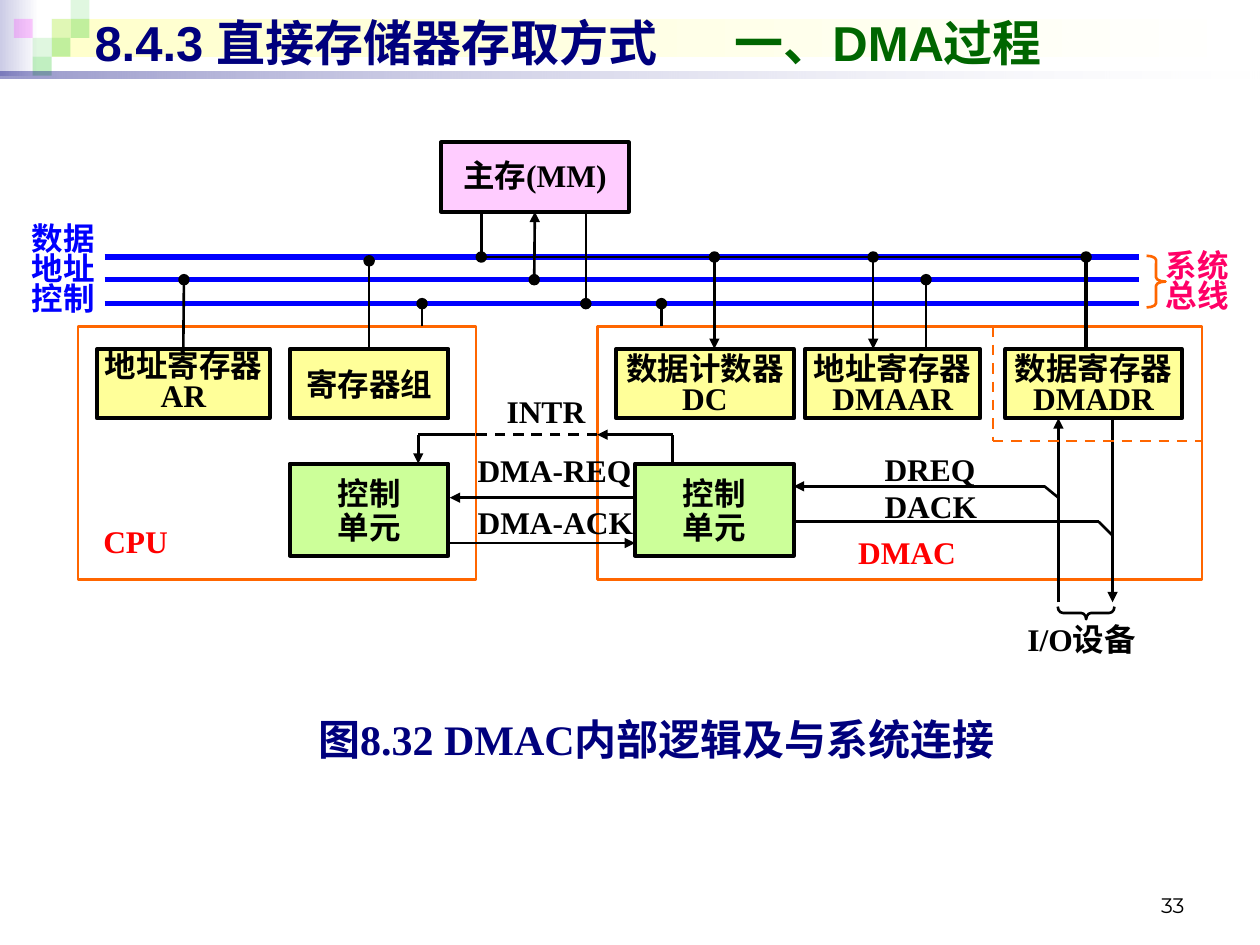
from lxml.etree import SubElement
from pptx import Presentation
from pptx.dml.color import RGBColor
from pptx.enum.dml import MSO_LINE
from pptx.enum.shapes import MSO_CONNECTOR, MSO_SHAPE as SHAPE
from pptx.enum.text import MSO_ANCHOR as ANCHOR, PP_ALIGN as ALIGN
from pptx.oxml.ns import qn
from pptx.util import Inches, Pt

COLORS = {
    "black": "000000", "white": "FFFFFF", "navy": "00007D", "title_green": "006600",
    "blue": "0000FF", "red": "FF0000", "pink": "FF0066", "orange": "FF6600",
    "yellow": "FFFF99", "lime": "CCFF99", "rose": "FFCCFF", "lilac": "CCCCE6",
    "cream": "FFFFCC", "green": "33CC33", "magenta": "FF00FF",
}
CELL = Inches(0.1)
COLS, ROWS = 100, 75
DATA, ADDR, CTRL = 20.4, 22.2, 24.1
REG_TOP, REG_H = 27.7, 5.5
REG_BOTTOM = REG_TOP + REG_H
FRAME_TOP, FRAME_H = 25.9, 20.1
UNIT_TOP, UNIT_W, UNIT_H = 36.8, 12.6, 7.3
INTR_ROW = 34.5
SERIF = "Times New Roman"


def rgb(name):
    """Return the named palette colour."""
    return RGBColor.from_string(COLORS[name])


def cells(*values):
    """Convert grid cells to slide lengths."""
    return [round(v * CELL) for v in values]


def set_alpha(color_el, percent):
    """Make a colour element partly transparent."""
    SubElement(color_el, qn("a:alpha"), val=str(percent * 1000))


def write(sp, *lines, size=18, font=SERIF, color="black", bold=True, align=ALIGN.CENTER,
          anchor=ANCHOR.MIDDLE, spacing=None, insets=(0, 0, 0, 0), tab=None):
    """Fill a shape with formatted lines, each a string or (text, colour) pairs."""
    tf = sp.text_frame
    tf.word_wrap, tf.vertical_anchor = True, anchor
    tf.margin_left, tf.margin_top, tf.margin_right, tf.margin_bottom = cells(*insets)
    for i, line in enumerate(lines):
        p = tf.add_paragraph() if i else tf.paragraphs[0]
        p.alignment = align
        if spacing:
            p.line_spacing = spacing
        if tab:
            tabs = SubElement(p._p.get_or_add_pPr(), qn("a:tabLst"))
            SubElement(tabs, qn("a:tab"), pos=str(cells(tab)[0]), algn="l")
        for text, tint in [(line, color)] if isinstance(line, str) else line:
            r = p.add_run()
            r.text = text
            r.font.size, r.font.name, r.font.bold = Pt(size), font, bold
            r.font.color.rgb = rgb(tint)


def add_label(s, at, *lines, **fmt):
    """Add a text box."""
    sp = s.shapes.add_textbox(*cells(*at))
    write(sp, *lines, **{"align": ALIGN.LEFT, **fmt})


def add_box(s, at, fill=None, line=None, width=1.5, kind=SHAPE.RECTANGLE, alpha=None):
    """Add a preset shape with optional fill, outline and opacity."""
    sp = s.shapes.add_shape(kind, *cells(*at))
    sp.shadow.inherit = False
    if fill:
        sp.fill.solid()
        sp.fill.fore_color.rgb = rgb(fill)
        if alpha:
            set_alpha(sp._element.spPr.find(".//" + qn("a:srgbClr")), alpha)
    else:
        sp.fill.background()
    if line:
        sp.line.color.rgb, sp.line.width = rgb(line), Pt(width)
    else:
        sp.line.fill.background()
    return sp


def add_gradient(s, at, start, alphas=()):
    """Add a bar that fades to white from left to right."""
    sp = add_box(s, at)
    sp.fill.gradient()
    sp.fill.gradient_angle = 0
    for stop, name, pos in zip(sp.fill.gradient_stops, (start, "white"), (0, 1)):
        stop.color.rgb, stop.position = rgb(name), pos
    for el, alpha in zip(sp._element.spPr.iter(qn("a:srgbClr")), alphas):
        set_alpha(el, alpha)


def add_line(s, x1, y1, x2, y2, color="black", width=1.5, arrow=False, dash=False):
    """Add a straight connector, with an arrowhead at its end if asked."""
    c = s.shapes.add_connector(MSO_CONNECTOR.STRAIGHT, *cells(x1, y1, x2, y2))
    c.line.color.rgb, c.line.width = rgb(color), Pt(width)
    if dash:
        c.line.dash_style = MSO_LINE.DASH
    if arrow:
        SubElement(c._element.spPr.find(qn("a:ln")), qn("a:tailEnd"), type="triangle")
    SubElement(c._element.spPr, qn("a:effectLst"))
    return c


def add_dot(s, x, y):
    """Add a junction dot centred on a bus."""
    add_box(s, (x - 0.35, y - 0.05, 0.7, 0.7) if y == DATA and x < 30
            else (x - 0.35, y - 0.35, 0.7, 0.7),
            "black", "black", kind=SHAPE.FLOWCHART_CONNECTOR)


def add_banner(s):
    """Draw the decoration behind the title."""
    add_gradient(s, (0, 0, 3.1, 6), "lilac")
    add_gradient(s, (4.1, 1.5, 95.5, 3), "cream")
    for col, row, color, alpha in [
            (2, 1, "green", 15), (3, 0, "green", 15), (3, 1, "green", 30),
            (1, 2, "green", 15), (0, 1, "magenta", 20), (2, 2, "green", 30),
            (1, 3, "green", 30)]:
        add_box(s, (1.1 + 1.5 * col, 1.5 * row, 1.5, 1.5), color, alpha=alpha)
    add_gradient(s, (0, 5.7, COLS, 0.5), "navy", (40, 10))


def add_title(s):
    """Place the title over the banner."""
    t = s.shapes.title
    s.shapes._spTree.append(t._element)
    t.left, t.top, t.width, t.height = cells(6.5, 0.5, 90, 5.7)
    write(t, [("8.4.3 直接存储器存取方式\t", "navy"), ("一、DMA过程", "title_green")],
          size=28, font="Arial", align=ALIGN.LEFT, insets=(1, 0.5, 1, 0.5), tab=50.8)


def add_blocks(s):
    """Draw the frames, registers, control units and memory."""
    add_box(s, (6.2, FRAME_TOP, 31.6, FRAME_H), line="orange")
    add_box(s, (47.4, FRAME_TOP, 48, FRAME_H), line="orange")
    blocks = {}
    for x, w, text, spacing in [
            (7.7, 13.7, "地址寄存器AR", 0.8), (23, 12.6, "寄存器组", 0.9),
            (48.9, 14.1, "数据计数器DC", 0.8), (63.9, 13.9, "地址寄存器DMAAR", 0.8),
            (79.8, 14, "数据寄存器DMADR", 0.8)]:
        sp = blocks[text] = add_box(s, (x, REG_TOP, w, REG_H), "yellow", "black", 2.25)
        top = 0 if x < 20 else 0.4
        write(sp, text, spacing=spacing, insets=(0, top, 0, 0))
    for x in (23, 50.4):
        sp = add_box(s, (x, UNIT_TOP, UNIT_W, UNIT_H), "lime", "black", 2.25)
        write(sp, "控制", "单元", spacing=0.9, insets=(0, 0.4, 0, 0))
    mm = blocks["主存"] = add_box(s, (35, 11.3, 14.9, 5.5), "rose", "black", 2.25)
    write(mm, "主存(MM)", spacing=0.9, insets=(1, 0.5, 1, 0.5))
    return blocks


def add_buses(s, blocks):
    """Draw the system bus and everything tapped from it."""
    for y in (DATA, ADDR, CTRL):
        add_line(s, 8.3, y, 90.4, y, "blue", 3)
    for name, x, y, side, arrow in [
            ("地址寄存器AR", 14.6, ADDR, 0, False), ("寄存器组", 29.3, DATA, 0, False),
            ("主存", 42.4, ADDR, 2, True)]:
        add_line(s, x, y, x, REG_TOP, arrow=arrow).end_connect(blocks[name], side)
        add_dot(s, x, y)
    for x, y, end, arrow, width in [
            (56.7, DATA, REG_TOP, True, 1.5), (69.3, DATA, REG_TOP, True, 1.5),
            (73.5, ADDR, REG_TOP, False, 1.5), (86.2, DATA, REG_TOP, False, 2),
            (33.5, CTRL, FRAME_TOP, False, 1.5), (52.5, CTRL, FRAME_TOP, False, 1.5),
            (38.2, DATA, 16.8, False, 2), (46.5, CTRL, 16.8, False, 1.5)]:
        add_line(s, x, y, x, end, width=width, arrow=arrow)
        add_dot(s, x, y)
    add_line(s, 38.2, DATA, 86.2, DATA)


def add_signals(s):
    """Draw the control signals and the device lines."""
    for x1, y1, x2, y2, arrow in [
            (84, 47.8, 84, REG_BOTTOM, True), (88.3, REG_BOTTOM, 88.3, 47.8, True),
            (82.9, 38.6, 63, 38.6, True), (82.9, 38.6, 84, 39.5, False),
            (63, 41.4, 87.2, 41.4, False), (87.2, 41.4, 88.3, 42.5, False),
            (50.4, 39.5, 35.7, 39.5, True), (35.7, 43.1, 50.4, 43.1, True),
            (53.4, UNIT_TOP, 53.4, INTR_ROW, False),
            (53.4, INTR_ROW, 47.4, INTR_ROW, True),
            (37.7, INTR_ROW, 33.2, INTR_ROW, False),
            (33.2, INTR_ROW, 33.2, UNIT_TOP, True)]:
        add_line(s, x1, y1, x2, y2, arrow=arrow)
    add_line(s, 47.4, INTR_ROW, 37.7, INTR_ROW, dash=True)
    add_line(s, 78.8, FRAME_TOP, 78.8, 35, "orange", dash=True)
    add_line(s, 78.8, 35, 95.4, 35, "orange", dash=True)
    for at, color, bend, turn in [((91, 20.3, 1.5, 4.1), "orange", 0.22, 0),
                                  ((85.7, 46.4, 1, 4.5), "black", 0.4, 90)]:
        sp = add_box(s, at, line=color, kind=SHAPE.RIGHT_BRACE)
        sp.adjustments[0], sp.rotation = bend, turn


def add_labels(s):
    """Write the labels, the caption and the page number."""
    for x, y, w, text, color in [
            (8.2, 42.2, 6, "CPU", "red"), (68.1, 43.1, 10.1, "DMAC", "red"),
            (70.2, 36.5, 11.5, "DREQ", "black"), (70.2, 39.4, 10.8, "DACK", "black"),
            (37.9, 36.6, 14.7, "DMA-REQ", "black"),
            (37.9, 40.7, 16.2, "DMA-ACK", "black"), (40.2, 31.9, 8.8, "INTR", "black")]:
        add_label(s, (x, y, w, 2.9), text, color=color, anchor=ANCHOR.TOP, spacing=0.72)
    add_label(s, (2.5, 18.4, 5.2, 6.3), "数据", "地址", "控制", color="blue", spacing=0.8)
    add_label(s, (92.5, 19.5, 5.2, 6), "系统", "总线", color="pink", spacing=0.8)
    add_label(s, (79.7, 49.3, 12.3, 3.4), "I/O设备", align=ALIGN.CENTER, spacing=0.8)
    caption = add_box(s, (19.8, 56.2, 64.6, 5.6), "white")
    write(caption, "图8.32 DMAC内部逻辑及与系统连接", size=24, color="navy", spacing=0.8)
    add_label(s, (71.7, 68.3, 23.3, 5), "33", size=12, font="Montserrat", bold=False,
              align=ALIGN.RIGHT, anchor=ANCHOR.BOTTOM, insets=(1, 0.5, 1, 0.5))


def main():
    """Build the slide and save it."""
    prs = Presentation()
    prs.slide_width, prs.slide_height = cells(COLS, ROWS)
    s = prs.slides.add_slide(prs.slide_layouts[5])
    add_banner(s)
    add_title(s)
    add_buses(s, add_blocks(s))
    add_signals(s)
    add_labels(s)
    prs.save("out.pptx")


if __name__ == "__main__":
    main()
